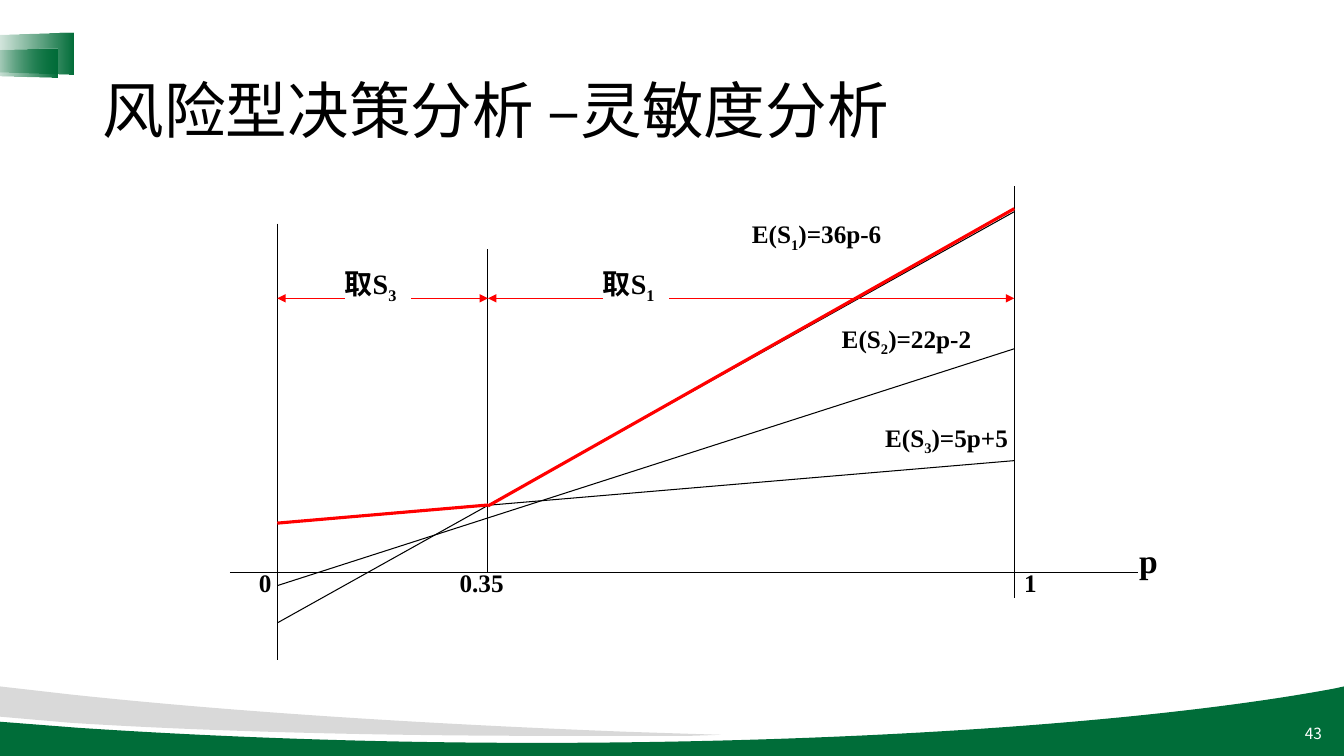
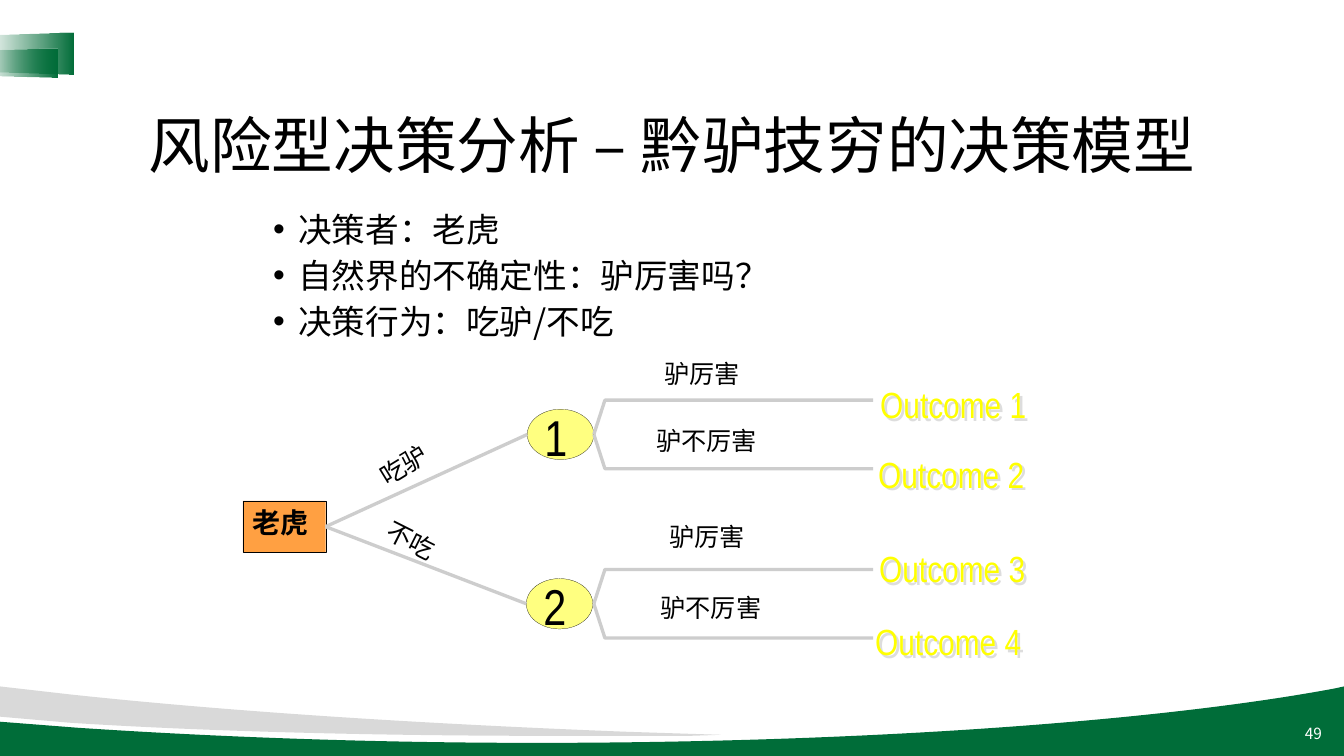
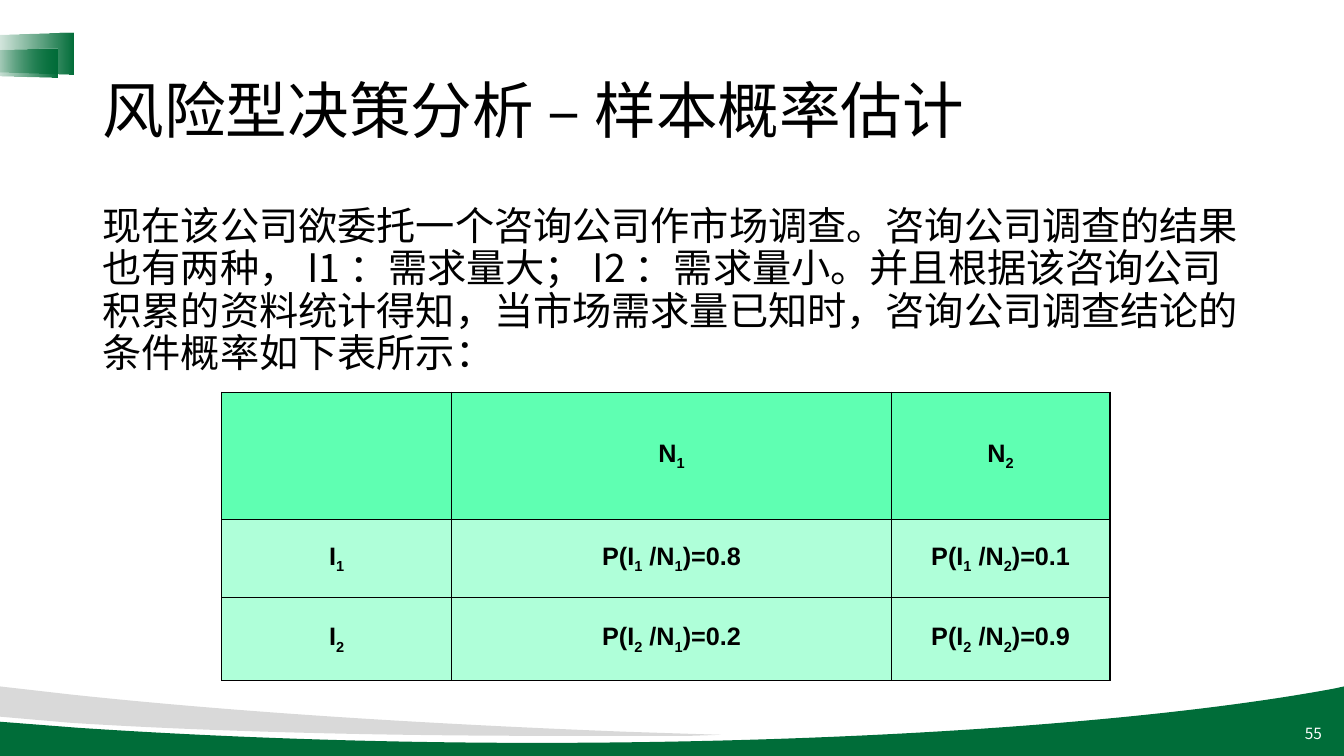
from lxml import etree
from pptx import Presentation
from pptx.dml.color import RGBColor
from pptx.enum.shapes import MSO_CONNECTOR as LineKind, MSO_SHAPE as Preset
from pptx.enum.text import MSO_ANCHOR as Anchor, PP_ALIGN as Align
from pptx.oxml import parse_xml
from pptx.oxml.ns import nsdecls, qn
from pptx.util import Inches, Pt

COLORS = {
    "green": "006D39", "grey": "D9D9D9", "white": "FFFFFF", "black": "000000",
    "red": "FF0000", "orange": "FFA042", "pale_yellow": "FFFF80",
    "branch": "CDCDCD", "yellow": "FFFF00", "shadow": "DDDDDD",
    "table_head": "5FFFB2", "table_body": "AFFFD9",
}
SANS, SERIF, NARROW = "Noto Sans CJK SC", "Times New Roman", "Arial Narrow"
INSETS = (0.1, 0.05, 0.1, 0.05)
NO_INSETS = (0, 0, 0, 0)


def rgb(name):
    return RGBColor.from_string(COLORS[name])


# Text
def format_span(span, size, font, color, bold):
    span.font.size = Pt(size)
    span.font.name = font
    span.font.bold = bold
    span.font.color.rgb = rgb(color)
    latin = span.font._element.find(qn("a:latin"))
    east_asian = etree.Element(qn("a:ea"), typeface=SANS)
    latin.addnext(east_asian)


def write(para, text, size, font=SANS, color="black", bold=False):
    """Fill a paragraph; the character after each underscore is a subscript."""
    head, *tails = text.split("_")
    para.text = head
    for tail in tails:
        subscript = para.add_run()
        subscript.text = tail[0]
        subscript.font._element.set("baseline", "-25000")
        if tail[1:]:
            para.add_run().text = tail[1:]
    for span in para.runs:
        format_span(span, size, font, color, bold)


def set_insets(frame, insets):
    (frame.margin_left, frame.margin_top,
     frame.margin_right, frame.margin_bottom) = map(Inches, insets)


def add_text(page, at, text, size, font=SANS, color="black", bold=False,
             align=Align.LEFT, anchor=Anchor.TOP, insets=INSETS, wrap=True,
             spacing=None):
    box = page.shapes.add_textbox(*map(Inches, at))
    frame = box.text_frame
    frame.word_wrap = wrap
    frame.vertical_anchor = anchor
    set_insets(frame, insets)
    para = frame.paragraphs[0]
    para.alignment = align
    if spacing:
        para.line_spacing = spacing
    write(para, text, size, font, color, bold)
    return box


def add_bullets(page, at, items, size, spacing, gap):
    box = add_text(page, at, items[0], size, spacing=spacing)
    frame = box.text_frame
    for index, item in enumerate(items):
        para = frame.add_paragraph() if index else frame.paragraphs[0]
        props = para._p.get_or_add_pPr()
        props.set("marL", str(Inches(0.25)))
        props.set("indent", str(-Inches(0.25)))
        etree.SubElement(props, qn("a:buFont"), typeface="Arial")
        etree.SubElement(props, qn("a:buChar"), char="•")
        para.line_spacing = spacing
        if index:
            para.space_before = Pt(gap)
            write(para, item, size)


def add_text_shadow(box):
    """An unfilled box casts the shadow of its text."""
    box._element.spPr.append(parse_xml(
        f'<a:effectLst {nsdecls("a")}><a:outerShdw dist="35921" dir="2700000">'
        f'<a:srgbClr val="{COLORS["shadow"]}"/></a:outerShdw></a:effectLst>'))


# Lines and outlines
def add_line(page, start, end, color="black", width=0.75, arrow=False):
    line = page.shapes.add_connector(
        LineKind.STRAIGHT, *map(Inches, (*start, *end)))
    line.line.color.rgb = rgb(color)
    line.line.width = Pt(width)
    props = line._element.spPr
    if arrow:
        etree.SubElement(props.find(qn("a:ln")), qn("a:tailEnd"), type="triangle")
    etree.SubElement(props, qn("a:effectLst"))
    return line


def paint(shape, fill=None, line=None, width=0.13):
    shape.shadow.inherit = False
    if fill:
        shape.fill.solid()
        shape.fill.fore_color.rgb = rgb(fill)
    else:
        shape.fill.background()
    if line:
        shape.line.color.rgb = rgb(line)
        shape.line.width = Pt(width)
    else:
        shape.line.fill.background()
    return shape


def add_outline(page, steps, closed):
    """Two numbers are a corner; six are a cubic curve: two controls and its end."""
    first, *others = [
        tuple(map(Inches, step[i:i + 2]))
        for step in steps for i in range(0, len(step), 2)]
    builder = page.shapes.build_freeform(*first)
    builder.add_line_segments(others, close=closed)
    shape = builder.convert_to_shape()
    segments = iter(list(shape._element.iter(qn("a:lnTo"))))
    for step in steps[1:]:
        segment = next(segments)
        if len(step) == 6:
            bezier = etree.Element(qn("a:cubicBezTo"))
            segment.addprevious(bezier)
            for part in (segment, next(segments), next(segments)):
                bezier.append(part[0])
                part.getparent().remove(part)
    return shape


# Shared frame of every page
def add_waves(page):
    green = [(13.33, 6.81), (13.33, 7.5), (0, 7.5), (0, 7.16), (0.77, 7.22),
             (2.12, 7.31, 3.67, 7.37, 5.32, 7.37),
             (8.62, 7.37, 11.53, 7.15, 13.24, 6.83)]
    grey = [(0, 6.81), (0.7, 6.89), (2.29, 7.06, 4.17, 7.18, 6.22, 7.26),
            (7.15, 7.29), (6.84, 7.3), (6.4, 7.3, 5.94, 7.3, 5.48, 7.3),
            (3.61, 7.3, 1.92, 7.25, 0.69, 7.17), (0, 7.11)]
    for steps, color in ((green, "green"), (grey, "grey")):
        paint(add_outline(page, steps, True), color)


def add_corner_tabs(page):
    for at in ((0.08, 0.09, 0.41, 0.88), (0.06, 0.26, 0.29, 0.73)):
        tab = paint(page.shapes.add_shape(Preset.TRAPEZOID, *map(Inches, at)), "green")
        tab.adjustments[0] = 0.072
        tab.rotation = 270
        solid = tab._element.spPr.find(qn("a:solidFill"))
        green = COLORS["green"]
        solid.getparent().replace(solid, parse_xml(
            f'<a:gradFill {nsdecls("a")} rotWithShape="0"><a:gsLst>'
            f'<a:gs pos="0"><a:srgbClr val="{green}"><a:alpha val="0"/></a:srgbClr></a:gs>'
            f'<a:gs pos="100000"><a:srgbClr val="{green}"/></a:gs>'
            '</a:gsLst><a:lin ang="0" scaled="0"/></a:gradFill>'))


def add_page(deck, title, number, align=Align.LEFT, anchor=Anchor.MIDDLE):
    page = deck.slides.add_slide(deck.slide_layouts[6])
    add_waves(page)
    add_corner_tabs(page)
    add_text(page, (10.21, 7.08, 3, 0.4), str(number), 11, color="white",
             align=Align.RIGHT, anchor=Anchor.MIDDLE)
    add_text(page, (0.92, 0.4, 11.5, 1.45), title, 44, align=align,
             anchor=anchor, spacing=0.9)
    return page


# Sensitivity chart
def sensitivity_page(deck):
    page = add_page(deck, "风险型决策分析 –灵敏度分析", 43)
    zero, switch, one = 2.75, 4.84, 10.06
    axis, choice = 5.68, 2.96

    # Axes and expected values
    for start, end in (
            ((zero, 2.22), (zero, 6.55)), ((2.28, axis), (11.29, axis)),
            ((one, 1.85), (one, 5.93)), ((switch, axis), (switch, 2.47)),
            ((zero, 6.18), (one, 2.1)), ((zero, 5.81), (one, 3.46)),
            ((zero, 5.19), (one, 4.57))):
        add_line(page, start, end)

    # Labels
    for at, text, size in (
            ((7.36, 2.12, 1.9, 0.4), "E(S_1)=36p-6", 18),
            ((8.25, 3.16, 1.81, 0.4), "E(S_2)=22p-2", 18),
            ((8.68, 4.14, 1.79, 0.4), "E(S_3)=5p+5", 18),
            ((2.47, 5.58, 0.47, 0.6), "0", 18),
            ((one, 5.58, 0.47, 0.6), "1", 18),
            ((4.46, 5.58, 0.76, 0.6), "0.35", 18),
            ((11.2, 5.31, 0.47, 0.74), "p", 24),
            ((3.32, 2.59, 0.85, 0.44), "取S_3", 20),
            ((5.88, 2.59, 0.85, 0.44), "取S_1", 20)):
        add_text(page, at, text, size, SERIF, bold=True)

    # Ranges of the best choice
    for start, end in ((4.08, switch), (6.64, one), (5.98, switch), (3.42, zero)):
        add_line(page, (start, choice), (end, choice), "red", arrow=True)
    add_line(page, (zero, 5.19), (switch, 5.01), "red", 2.25)
    add_line(page, (switch, 5.02), (one, 2.07), "red", 2.25)


# Decision tree
def add_chance_node(page, number, left, middle):
    oval = page.shapes.add_shape(
        Preset.OVAL, *map(Inches, (left, middle - 0.25, 0.66, 0.5)))
    paint(oval, "pale_yellow", "black")
    add_text(page, (left + 0.17, middle - 0.28, 0.23, 0.61), number, 36, NARROW,
             insets=NO_INSETS, wrap=False)
    for rise in (-0.34, 0.34):
        end = middle + rise
        fork = [(5.89, middle), (6, end), (8.66, end)]
        paint(add_outline(page, fork, False), line="branch", width=2.38)


def tree_page(deck):
    page = add_page(deck, "风险型决策分析 – 黔驴技穷的决策模型", 49,
                    Align.CENTER, Anchor.BOTTOM)
    add_bullets(page, (2.61, 2.1, 6.46, 1.38),
                ["决策者：老虎", "自然界的不确定性：驴厉害吗？", "决策行为：吃驴/不吃"],
                24, spacing=0.8, gap=10)

    # Decision and chance nodes
    tiger = page.shapes.add_shape(
        Preset.RECTANGLE, *map(Inches, (2.41, 4.97, 0.82, 0.51)))
    paint(tiger, "orange", "black")
    tiger.text_frame.vertical_anchor = Anchor.TOP
    set_insets(tiger.text_frame, INSETS)
    para = tiger.text_frame.paragraphs[0]
    para.alignment = Align.LEFT
    write(para, "老虎", 20, "DejaVu Sans", bold=True)
    for number, left, middle in (("1", 5.23, 4.31), ("2", 5.22, 5.99)):
        add_chance_node(page, number, left, middle)
        branch = add_line(page, (3.23, 5.23), (left, middle), "branch", 2.38)
        branch.begin_connect(tiger, 3)

    # Branch labels
    for left, top, width, text, font, angle in (
            (6.59, 3.55, 0.75, "驴厉害", NARROW, 0),
            (6.51, 4.22, 1, "驴不厉害", NARROW, 0),
            (6.64, 5.17, 0.75, "驴厉害", SERIF, 0),
            (6.55, 5.88, 1, "驴不厉害", SERIF, 0),
            (3.75, 4.46, 0.5, "吃驴", NARROW, 328.5),
            (3.83, 5.21, 0.5, "不吃", NARROW, 26.7)):
        label = add_text(page, (left, top, width, 0.3), text, 18, font,
                         insets=NO_INSETS, wrap=False)
        label.rotation = angle

    # Outcomes
    places = ((8.64, 3.75), (8.62, 4.44), (8.63, 5.38), (8.59, 6.1))
    for number, (left, top) in enumerate(places, 1):
        outcome = add_text(page, (left, top, 2.44, 0.52), f"Outcome {number}", 26,
                           NARROW, "yellow", insets=(0.09, 0.04, 0.09, 0.04))
        add_text_shadow(outcome)


# Probability table
def add_cell_borders(cell):
    props = cell._tc.get_or_add_tcPr()
    for index, side in enumerate(("lnL", "lnR", "lnT", "lnB")):
        props.insert(index, parse_xml(
            f'<a:{side} {nsdecls("a")} w="{Pt(1)}"><a:solidFill>'
            f'<a:srgbClr val="{COLORS["black"]}"/></a:solidFill></a:{side}>'))


def add_grid(page, left, top, widths, heights, rows):
    table = page.shapes.add_table(
        len(rows), len(widths), Inches(left), Inches(top),
        Inches(sum(widths)), Inches(sum(heights))).table
    table.first_row = table.horz_banding = False
    for column, width in zip(table.columns, widths):
        column.width = Inches(width)
    for row_index, (height, texts) in enumerate(zip(heights, rows)):
        table.rows[row_index].height = Inches(height)
        for column_index, text in enumerate(texts):
            cell = table.cell(row_index, column_index)
            cell.fill.solid()
            cell.fill.fore_color.rgb = rgb("table_body" if row_index else "table_head")
            cell.vertical_anchor = Anchor.MIDDLE
            add_cell_borders(cell)
            para = cell.text_frame.paragraphs[0]
            para.alignment = Align.CENTER
            write(para, text, 18, "Arial", bold=True)


def probability_page(deck):
    page = add_page(deck, "风险型决策分析 – 样本概率估计", 55)
    add_text(page, (0.92, 2, 11.5, 1.8),
             "现在该公司欲委托一个咨询公司作市场调查。咨询公司调查的结果也有两种，"
             " I1 ：需求量大； I2 ：需求量小。并且根据该咨询公司积累的资料统计得知，"
             "当市场需求量已知时，咨询公司调查结论的条件概率如下表所示：",
             28, spacing=0.9)
    add_grid(page, 2.2, 3.89, (2.28, 4.36, 2.17), (1.26, 0.78, 0.82), (
        ("", "N_1", "N_2"),
        ("I_1", "P(I_1 /N_1)=0.8", "P(I_1 /N_2)=0.1"),
        ("I_2", "P(I_2 /N_1)=0.2", "P(I_2 /N_2)=0.9")))


def main():
    deck = Presentation()
    deck.slide_width, deck.slide_height = Inches(13.33), Inches(7.5)
    sensitivity_page(deck)
    tree_page(deck)
    probability_page(deck)
    deck.save("out.pptx")


if __name__ == "__main__":
    main()
